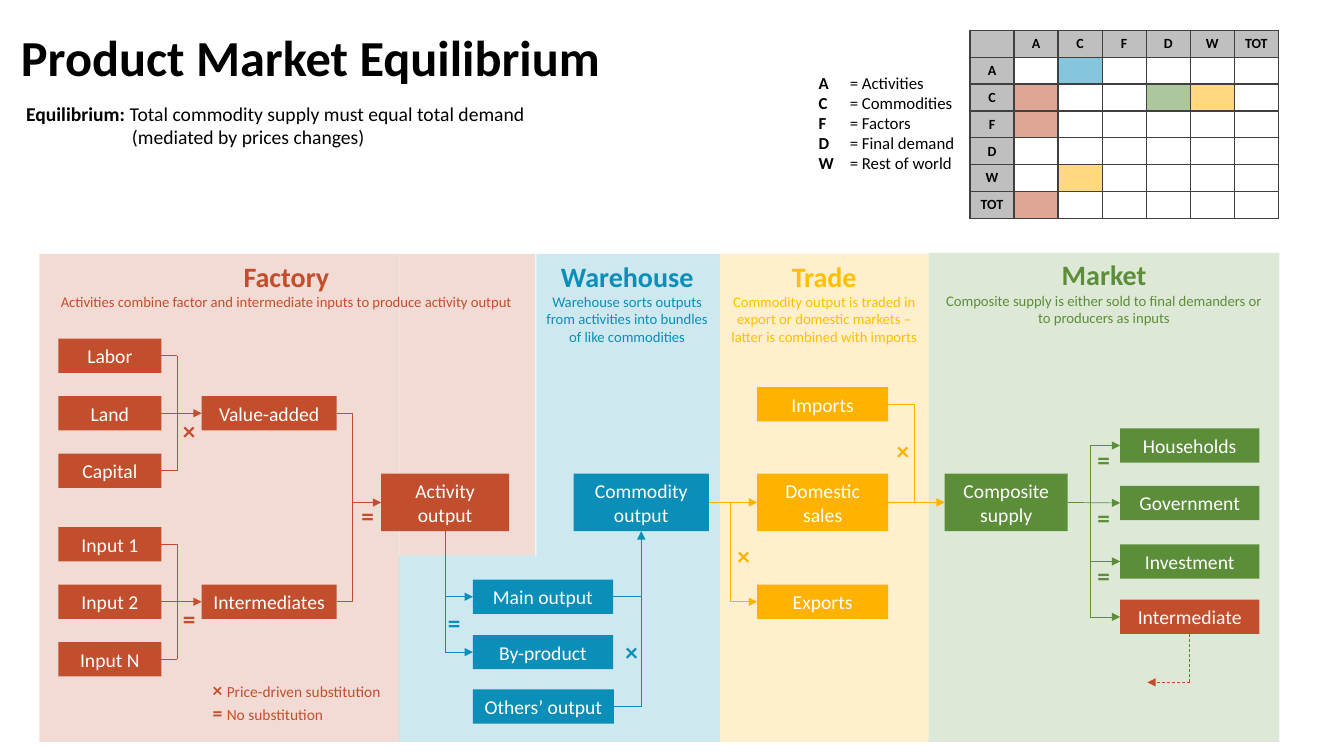
from collections import namedtuple
from dataclasses import dataclass

from lxml.etree import SubElement
from pptx import Presentation
from pptx.dml.color import RGBColor
from pptx.enum.dml import MSO_LINE
from pptx.enum.shapes import MSO_CONNECTOR, MSO_SHAPE
from pptx.enum.text import MSO_ANCHOR, PP_ALIGN
from pptx.oxml.ns import qn
from pptx.util import Inches, Pt


@dataclass(frozen=True)
class Theme:
    font: str = "Calibri"
    factory: str = "C34E2D"
    warehouse: str = "0B8EB8"
    trade: str = "FFB300"
    trade_heading: str = "FFC000"
    market: str = "5C8E3A"
    ink: str = "000000"
    paper: str = "FFFFFF"
    header: str = "BFBFBF"
    border: str = "404040"
    title: float = 36
    heading: float = 20
    sign: float = 18
    body: float = 14
    key: float = 12
    legend: float = 11
    note: float = 10.5
    cell: float = 10


THEME = Theme()
TOP, LEFT, BOTTOM, RIGHT = range(4)
LOW, TALL = 0.34, 0.57
Box = namedtuple("Box", "left top width height")
Port = namedtuple("Port", "block side")


def paint(fill, color, opacity=100):
    fill.solid()
    fill.fore_color.rgb = RGBColor.from_string(color)
    if opacity < 100:
        tone = fill._xPr.find(qn("a:solidFill"))[0]
        SubElement(tone, qn("a:alpha"), val=str(opacity * 1000))


def style(run, size, color, bold=False):
    run.font.name = THEME.font
    run.font.size = Pt(size)
    run.font.bold = bold
    run.font.color.rgb = RGBColor.from_string(color)


def write(frame, lines, align=PP_ALIGN.LEFT, tab=None):
    frame.word_wrap = True
    for index, line in enumerate(lines):
        paragraph = frame.add_paragraph() if index else frame.paragraphs[0]
        paragraph.alignment = align
        if tab:
            stops = SubElement(paragraph._p.get_or_add_pPr(), qn("a:tabLst"))
            SubElement(stops, qn("a:tab"), pos=str(Inches(tab)), algn="l")
        for text, *look in line:
            run = paragraph.add_run()
            run.text = text
            style(run, *look)


class Region:
    def __init__(self, slide, box, color=THEME.ink):
        self.shapes, self.box, self.color = slide.shapes, box, color

    def place(self, x, y, width, height):
        return (Inches(self.box.left + x), Inches(self.box.top + y),
                Inches(width), Inches(height))

    def rectangle(self, area, color, opacity=100):
        rectangle = self.shapes.add_shape(MSO_SHAPE.RECTANGLE, *self.place(*area))
        rectangle.shadow.inherit = False
        rectangle.line.fill.background()
        paint(rectangle.fill, color, opacity)
        return rectangle

    def panel(self, *area):
        self.rectangle(area, self.color, 20)

    def block(self, name, x, y, width, height=LOW, color=None):
        block = self.rectangle((x, y, width, height), color or self.color)
        block.text_frame.vertical_anchor = MSO_ANCHOR.MIDDLE
        write(block.text_frame, [[(name, THEME.body, THEME.paper)]], PP_ALIGN.CENTER)
        return block

    def text(self, area, lines, align=PP_ALIGN.LEFT, tab=None, anchor=MSO_ANCHOR.TOP):
        frame = self.shapes.add_textbox(*self.place(*area)).text_frame
        frame.vertical_anchor = anchor
        write(frame, lines, align, tab)
        return frame

    def heading(self, name, note, x, width, color=None):
        color = color or self.color
        self.text((x, 0, width, 0.95), [[(name, THEME.heading, color, True)],
                                        [(note, THEME.note, color)]], PP_ALIGN.CENTER)

    def sign(self, symbol, x, y):
        self.text((x, y, 0.39, 0.4), [[(symbol, THEME.sign, self.color, True)]],
                  PP_ALIGN.CENTER)

    def link(self, begin, end, arrow=False, dashed=False, color=None):
        ends = [(0, 0) if isinstance(end_, Port) else self.place(*end_, 0, 0)[:2]
                for end_ in (begin, end)]
        link = self.shapes.add_connector(MSO_CONNECTOR.STRAIGHT, *ends[0], *ends[1])
        if isinstance(begin, Port):
            link.begin_connect(*begin)
        if isinstance(end, Port):
            link.end_connect(*end)
        link.line.width = Pt(0.5)
        link.line.color.rgb = RGBColor.from_string(color or self.color)
        if dashed:
            link.line.dash_style = MSO_LINE.DASH
        if arrow:
            SubElement(link.line._get_or_add_ln(), qn("a:tailEnd"), type="triangle")
        SubElement(link._element.spPr, qn("a:effectLst"))


def add_header(slide, box):
    header = Region(slide, box)
    title = header.text((0, 0, box.width, 0.91),
                        [[("Product Market Equilibrium", THEME.title, THEME.ink, True)]],
                        anchor=MSO_ANCHOR.MIDDLE)
    title.paragraphs[0].line_spacing = 0.9
    header.text((0.05, 0.82, 5.71, 0.57), [
        [("Equilibrium:", THEME.body, THEME.ink, True),
         (" Total commodity supply must equal total demand", THEME.body, THEME.ink)],
        [("\t(mediated by prices changes)", THEME.body, THEME.ink)]], tab=1.05)


def add_key(slide, box):
    names = {"A": "Activities", "C": "Commodities", "F": "Factors",
             "D": "Final demand", "W": "Rest of world"}
    Region(slide, box).text((0, 0, box.width, box.height), [
        [(letter, THEME.key, THEME.ink, True), (f"\t= {name}", THEME.key, THEME.ink)]
        for letter, name in names.items()], tab=0.31)


def add_matrix(slide, box):
    labels = ["", "A", "C", "F", "D", "W", "TOT"]
    flows = {("A", "C"): THEME.warehouse, ("C", "A"): THEME.factory,
             ("F", "A"): THEME.factory, ("TOT", "A"): THEME.factory,
             ("C", "D"): THEME.market, ("C", "W"): THEME.trade, ("W", "C"): THEME.trade}
    count = len(labels)
    matrix = slide.shapes.add_table(count, count, *map(Inches, box)).table
    matrix.first_row = matrix.horz_banding = False
    for index in range(count):
        matrix.columns[index].width = Inches(box.width / count)
        matrix.rows[index].height = Inches(box.height / count)
    for r, row in enumerate(labels):
        for c, column in enumerate(labels):
            cell = matrix.cell(r, c)
            cell.margin_left = cell.margin_right = Inches(0.05)
            cell.margin_top = cell.margin_bottom = Inches(0.02)
            cell.vertical_anchor = MSO_ANCHOR.MIDDLE
            for side in "LRTB":
                edge = SubElement(cell._tc.tcPr, qn(f"a:ln{side}"), w=str(Pt(1)))
                SubElement(SubElement(edge, qn("a:solidFill")), qn("a:srgbClr"), val=THEME.border)
            if r == 0 or c == 0:
                paint(cell.fill, THEME.header)
            elif (row, column) in flows:
                paint(cell.fill, flows[row, column], 50)
            else:
                cell.fill.background()
            label = (row or column) if r == 0 or c == 0 else ""
            if label:
                write(cell.text_frame, [[(label, THEME.cell, THEME.ink, True)]], PP_ALIGN.CENTER)
            else:
                SubElement(cell.text_frame.paragraphs[0]._p, qn("a:endParaRPr"),
                           sz=str(THEME.cell * 100))


def add_factory(slide, box):
    factory = Region(slide, box, THEME.factory)
    factory.panel(0, 0, 3.57, box.height)
    factory.panel(3.57, 0, box.width - 3.57, 2.99)
    factory.heading("Factory", "Activities combine factor and intermediate inputs "
                    "to produce activity output", 0, 4.9)
    activity = factory.block("Activity output", 3.39, 2.18, 1.27, TALL)
    for names, result, symbol, top in (
            (("Labor", "Land", "Capital"), "Value-added", "×", 0.84),
            (("Input 1", "Input 2", "Input N"), "Intermediates", "=", 2.71)):
        inputs = [factory.block(name, 0.19, top + TALL * i, 1.02) for i, name in enumerate(names)]
        first, middle, last = (top + TALL * i + LOW / 2 for i in range(3))
        combined = factory.block(result, 1.61, top + TALL, 1.34)
        factory.link(Port(inputs[1], RIGHT), Port(combined, LEFT), arrow=True)
        factory.link((1.37, last), (1.37, first))
        factory.link(Port(inputs[0], RIGHT), (1.37, first))
        factory.link(Port(inputs[2], RIGHT), (1.37, last))
        factory.link(Port(combined, RIGHT), (3.1, middle))
        factory.sign(symbol, 1.29, top + 0.71)
    factory.link((3.1, 1.58), (3.1, 3.45))
    factory.link((3.1, 2.465), Port(activity, LEFT), arrow=True)
    factory.sign("=", 3.06, 2.39)
    factory.text((1.62, 4.13, 1.93, 0.61), [
        [(f"{symbol} ", THEME.body, THEME.factory, True), (meaning, THEME.legend, THEME.factory)]
        for symbol, meaning in (("×", "Price-driven substitution"), ("=", "No substitution"))],
        anchor=MSO_ANCHOR.MIDDLE)
    return activity


def add_warehouse(slide, box, activity):
    warehouse = Region(slide, box, THEME.warehouse)
    warehouse.panel(0, 2.99, 1.36, box.height - 2.99)
    warehouse.panel(1.36, 0, box.width - 1.36, box.height)
    warehouse.heading("Warehouse", "Warehouse sorts outputs from activities into "
                      "bundles of like commodities", 1.35, 1.82)
    commodity = warehouse.block("Commodity output", 1.73, 2.18, 1.34, TALL)
    main = warehouse.block("Main output", 0.73, 3.23, 1.39)
    product = warehouse.block("By-product", 0.73, 3.78, 1.39)
    others = warehouse.block("Others’ output", 0.73, 4.32, 1.4)
    warehouse.link(Port(activity, BOTTOM), (0.455, 3.95))
    warehouse.link((0.455, 3.4), Port(main, LEFT), arrow=True)
    warehouse.link((0.455, 3.95), Port(product, LEFT), arrow=True)
    warehouse.link(Port(main, RIGHT), (2.4, 3.4))
    warehouse.link(Port(others, RIGHT), (2.4, 4.49))
    warehouse.link((2.4, 4.49), Port(commodity, BOTTOM), arrow=True)
    warehouse.sign("=", 0.35, 3.46)
    warehouse.sign("×", 2.11, 3.74)
    return commodity


def add_market(slide, box):
    market = Region(slide, box, THEME.market)
    market.panel(0, 0, box.width, box.height)
    market.heading("Market", "Composite supply is either sold to final demanders or "
                   "to producers as inputs", 0, box.width)
    composite = market.block("Composite supply", 0.16, 2.19, 1.22, TALL)
    for name, y in (("Households", 1.74), ("Government", 2.31), ("Investment", 2.89)):
        buyer = market.block(name, 1.9, y, 1.38)
        start = Port(composite, RIGHT) if name == "Government" else (1.6, y + LOW / 2)
        market.link(start, Port(buyer, LEFT), arrow=True)
        market.sign("=", 1.54, y + 0.11)
    intermediate = market.block("Intermediate", 1.9, 3.44, 1.38, color=THEME.factory)
    market.link((1.6, 3.61), Port(intermediate, LEFT), arrow=True)
    market.link((1.6, 3.61), (1.6, 1.91))
    market.link(Port(intermediate, BOTTOM), (2.59, 4.26), dashed=True, color=THEME.factory)
    market.link((2.59, 4.26), (2.17, 4.26), arrow=True, dashed=True, color=THEME.factory)
    return composite


def add_trade(slide, box, commodity, composite):
    trade = Region(slide, box, THEME.trade)
    trade.panel(0, 0, box.width, box.height)
    trade.heading("Trade", "Commodity output is traded in export or domestic markets – "
                  "latter is combined with imports", 0, box.width, THEME.trade_heading)
    imports = trade.block("Imports", 0.37, 1.32, 1.3)
    domestic = trade.block("Domestic sales", 0.37, 2.18, 1.3, TALL)
    exports = trade.block("Exports", 0.37, 3.28, 1.3)
    trade.link(Port(commodity, RIGHT), Port(domestic, LEFT), arrow=True)
    trade.link((0.1, 3.45), (0.1, 2.465))
    trade.link((0.1, 3.45), Port(exports, LEFT), arrow=True)
    trade.link(Port(domestic, RIGHT), Port(composite, LEFT), arrow=True)
    trade.link((1.93, 2.465), (1.93, 1.49))
    trade.link(Port(imports, RIGHT), (1.93, 1.49))
    trade.sign("×", 0.04, 2.79)
    trade.sign("×", 1.62, 1.75)


def main():
    deck = Presentation()
    deck.slide_width, deck.slide_height = Inches(13.33), Inches(7.5)
    slide = deck.slides.add_slide(deck.slide_layouts[6])
    add_header(slide, Box(0.11, 0.14, 13.06, 1.39))
    add_key(slide, Box(8.02, 0.67, 1.6, 1.14))
    add_matrix(slide, Box(9.62, 0.3, 3.06, 1.87))
    activity = add_factory(slide, Box(0.39, 2.52, 4.92, 4.84))
    commodity = add_warehouse(slide, Box(3.96, 2.52, 3.18, 4.84), activity)
    composite = add_market(slide, Box(9.21, 2.51, 3.48, 4.85))
    add_trade(slide, Box(7.14, 2.52, 2.07, 4.84), commodity, composite)
    deck.save("out.pptx")


if __name__ == "__main__":
    main()
